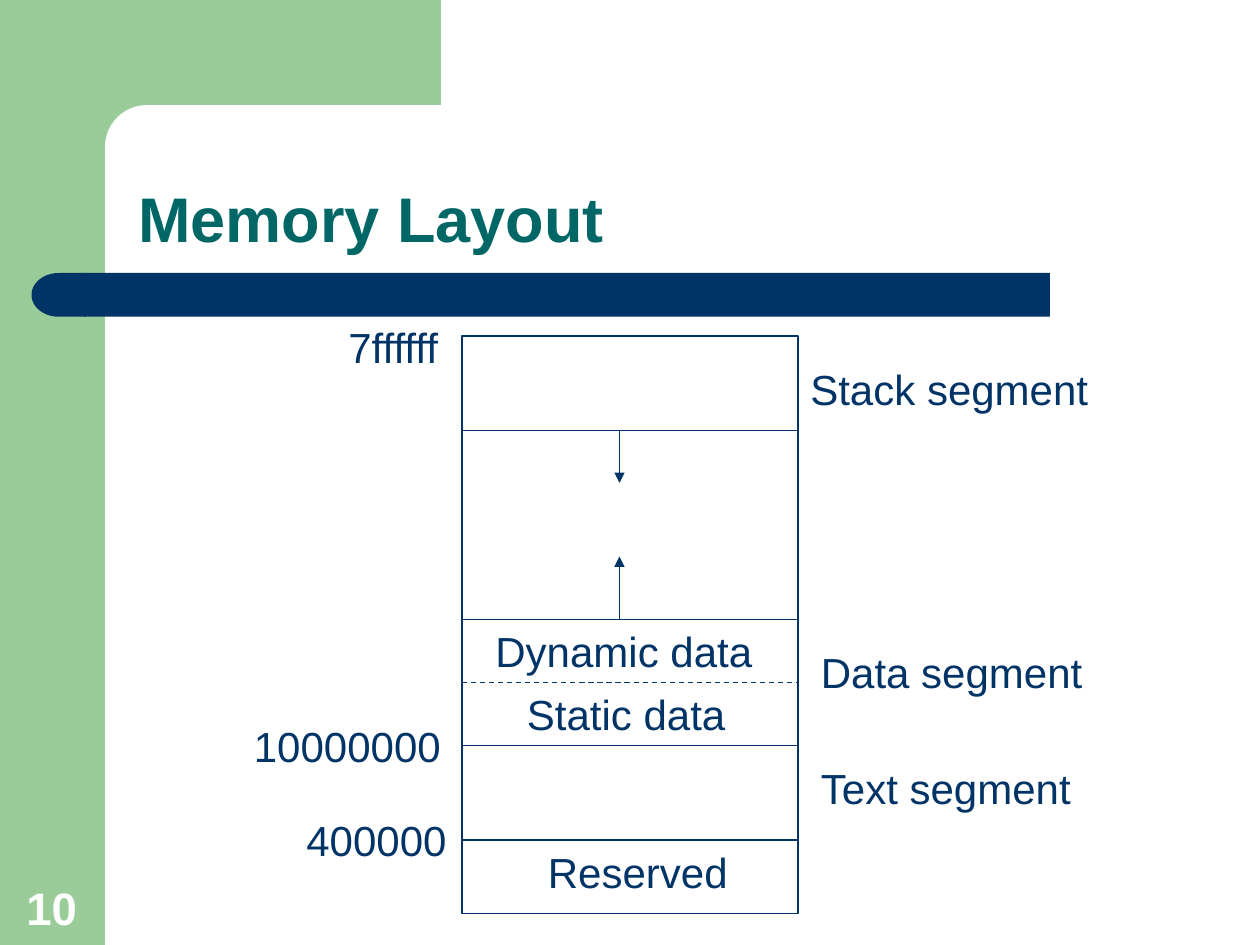
"""Build a slide that shows the memory layout of a program."""
import pptx
import pptx.dml.color
import pptx.enum.dml
import pptx.enum.shapes
import pptx.enum.text
import pptx.oxml
import pptx.oxml.ns
import pptx.util

Pt = pptx.util.Pt
RGBColor = pptx.dml.color.RGBColor
Shape = pptx.enum.shapes.MSO_SHAPE
Anchor = pptx.enum.text.MSO_ANCHOR
Fit = pptx.enum.text.MSO_AUTO_SIZE

GREEN = RGBColor(0x99, 0xCC, 0x99)
TEAL = RGBColor(0x00, 0x66, 0x66)
NAVY = RGBColor(0x00, 0x33, 0x66)
WHITE = RGBColor(0xFF, 0xFF, 0xFF)


class Painter:
    font = "Arial"
    size = 24
    ink = NAVY
    weight = 0.75

    def __init__(self, slide):
        self.slide = slide

    def block(self, kind, left, top, width, height, fill=None):
        shape = self.slide.shapes.add_shape(
            kind, Pt(left), Pt(top), Pt(width), Pt(height))
        shape.shadow.inherit = False
        if fill is None:
            shape.fill.background()
            shape.line.color.rgb = self.ink
            shape.line.width = Pt(self.weight)
        else:
            shape.fill.solid()
            shape.fill.fore_color.rgb = fill
            shape.line.fill.background()
        return shape

    def text(self, words, left, top, width, height=36, size=None, color=None,
             bold=False, wrap=False, anchor=Anchor.TOP, spacing=None):
        box = self.slide.shapes.add_textbox(
            Pt(left), Pt(top), Pt(width), Pt(height))
        frame = box.text_frame
        frame.word_wrap = wrap
        frame.auto_size = Fit.NONE if wrap else Fit.SHAPE_TO_FIT_TEXT
        frame.vertical_anchor = anchor
        line = frame.paragraphs[0]
        if spacing:
            line.line_spacing = spacing
        run = line.add_run()
        run.text = words
        run.font.name = self.font
        run.font.size = Pt(size or self.size)
        run.font.bold = bold
        run.font.color.rgb = color or self.ink

    def line(self, start, end, dash=False, arrow=False):
        link = self.slide.shapes.add_connector(
            pptx.enum.shapes.MSO_CONNECTOR.STRAIGHT,
            *(Pt(value) for value in (*start, *end)))
        link.line.color.rgb = self.ink
        link.line.width = Pt(self.weight)
        if dash:
            link.line.dash_style = pptx.enum.dml.MSO_LINE.DASH
        if arrow:
            tip = pptx.oxml.parse_xml(
                f'<a:tailEnd {pptx.oxml.ns.nsdecls("a")} type="triangle"/>')
            link.line._get_or_add_ln().append(tip)
        link._element.spPr.append(pptx.oxml.parse_xml(
            f'<a:effectLst {pptx.oxml.ns.nsdecls("a")}/>'))


def main():
    deck = pptx.Presentation()
    deck.slide_width, deck.slide_height = Pt(720), Pt(540)
    paint = Painter(deck.slides.add_slide(deck.slide_layouts[6]))

    paint.block(Shape.RECTANGLE, 0, 0, 60, 540, GREEN)
    paint.block(Shape.RECTANGLE, 54, 0, 198, 84, GREEN)
    panel = paint.block(Shape.ROUNDED_RECTANGLE, 60, 60, 402, 48, WHITE)
    panel.adjustments[0] = 0.5
    paint.block(Shape.RECTANGLE, 48, 156, 552, 25, NAVY)
    paint.block(Shape.FLOWCHART_DELAY, 18, 156, 31, 25, NAVY).rotation = 180

    paint.text("Memory Layout", 72, 60, 630, 90, size=36, color=TEAL,
               bold=True, wrap=True, anchor=Anchor.BOTTOM, spacing=0.9)
    paint.text("10", 8, 499, 46, 38.5, size=26, color=WHITE,
               bold=True, wrap=True, anchor=Anchor.BOTTOM)

    for words, left, top, width in (
            ("7ffffff", 192, 180, 69),
            ("10000000", 138, 408, 123),
            ("400000", 168, 462, 96),
            ("Reserved", 306, 480, 119),
            ("Text segment", 462, 432, 162),
            ("Data segment", 462, 366, 165),
            ("Stack segment", 456, 204, 175),
            ("Static data", 294, 390, 129),
            ("Dynamic data", 276, 354, 163)):
        paint.text(words, left, top, width)

    left, top, width, height = 264, 192, 192, 330
    stack, heap, static, code, kept = 246, 354, 390, 426, 480
    paint.block(Shape.RECTANGLE, left, top, width, height)
    for edge in (kept, code, static, heap, stack):
        paint.line((left, edge), (left + width, edge), dash=edge == static)

    for start, end in ((stack, stack + 30), (heap, heap - 36)):
        paint.line((354, start), (354, end), arrow=True)

    deck.save("out.pptx")


if __name__ == "__main__":
    main()
